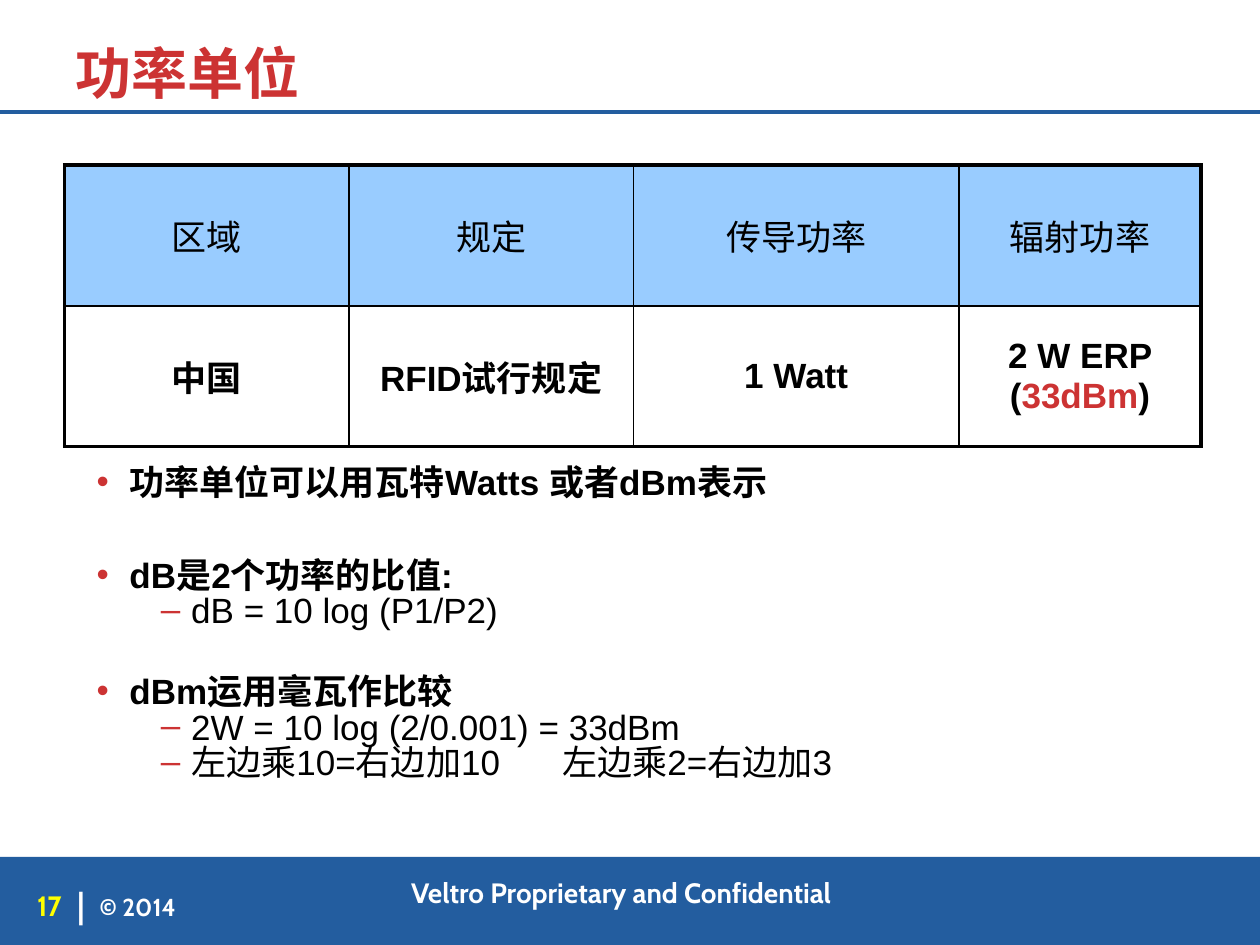
from pptx import Presentation
from pptx.dml.color import RGBColor
from pptx.enum.shapes import MSO_CONNECTOR, MSO_SHAPE
from pptx.enum.text import MSO_ANCHOR, PP_ALIGN
from pptx.oxml import parse_xml
from pptx.oxml.ns import nsdecls
from pptx.util import Pt

BLUE = RGBColor(0x23, 0x5D, 0x9F)
RED = RGBColor(0xCC, 0x33, 0x33)
SKY = RGBColor(0x99, 0xCC, 0xFF)
YELLOW = RGBColor(0xFF, 0xFF, 0x00)
WHITE = RGBColor(0xFF, 0xFF, 0xFF)
BLACK = RGBColor(0, 0, 0)

ROWS = [
    ["区域", "规定", "传导功率", "辐射功率"],
    ["中国", "RFID试行规定", "1 Watt", [("2 W ERP (", BLACK), ("33dBm", RED), (")", BLACK)]],
]
BULLETS = [
    (0, 0, "功率单位可以用瓦特Watts 或者dBm表示"),
    (0, 34, "dB是2个功率的比值:"),
    (1, 1, "dB = 10 log (P1/P2)"),
    (0, 27, "dBm运用毫瓦作比较"),
    (1, 1, "2W = 10 log (2/0.001) = 33dBm"),
    (1, 1, "左边乘10=右边加10\t左边乘2=右边加3"),
]


def add_run(p, text, size=20, font="Arial", color=BLACK, bold=False):
    r = p.add_run()
    r.text = text
    r.font.size = Pt(size)
    r.font.name = font
    r.font.bold = bold
    r.font.color.rgb = color


def add_text(s, text, x, y, w, h, anchor=MSO_ANCHOR.MIDDLE, align=PP_ALIGN.LEFT,
             inset=(0, 0), spacing=None, **fmt):
    tf = s.shapes.add_textbox(Pt(x), Pt(y), Pt(w), Pt(h)).text_frame
    tf.word_wrap = True
    tf.vertical_anchor = anchor
    tf.margin_left = tf.margin_right = Pt(inset[0])
    tf.margin_top = tf.margin_bottom = Pt(inset[1])
    p = tf.paragraphs[0]
    p.alignment = align
    p.line_spacing = spacing
    add_run(p, text, font="Cabin", bold=True, **fmt)


def add_header(s, x, y, w, h):
    line = s.shapes.add_connector(MSO_CONNECTOR.STRAIGHT, Pt(x), Pt(y + h), Pt(x + w), Pt(y + h))
    line.line.color.rgb = BLUE
    line.line.width = Pt(2.25)
    line._element.spPr.append(parse_xml(f"<a:effectLst {nsdecls('a')}/>"))
    add_text(s, "功率单位", x + 36, y, w - 45, h, anchor=MSO_ANCHOR.BOTTOM,
             inset=(7.2, 3.6), spacing=0.85, size=32, color=RED)


def add_footer(s, x, y, w, h):
    bar = s.shapes.add_shape(MSO_SHAPE.RECTANGLE, Pt(x), Pt(y), Pt(w), Pt(h))
    bar.shadow.inherit = False
    bar.fill.solid()
    bar.fill.fore_color.rgb = BLUE
    bar.line.fill.background()
    add_text(s, "Veltro Proprietary and Confidential", x + 204.5, y + 10.8, 301, 19.4,
             anchor=MSO_ANCHOR.BOTTOM, align=PP_ALIGN.CENTER, size=16, color=WHITE)
    add_text(s, "© 2014", x + 56.9, y + 19.4, 120, 18, size=14, color=WHITE)
    add_text(s, "17", x + 12.2 + 9, y + 18.7, 27, 18, size=16, color=YELLOW)
    add_text(s, "|", x + 44, y + 18.7, 15, 16.6, size=20, color=WHITE)


def set_borders(cell, widths):
    tcPr = cell._tc.get_or_add_tcPr()
    for i, (side, width) in enumerate(widths.items()):
        tcPr.insert(i, parse_xml(
            f'<a:{side} {nsdecls("a")} w="{Pt(width)}"><a:solidFill>'
            f'<a:srgbClr val="{BLACK}"/></a:solidFill></a:{side}>'))


def add_power_table(s, x, y, widths, row_height):
    n_rows, n_cols = len(ROWS), len(widths)
    table = s.shapes.add_table(n_rows, n_cols, Pt(x), Pt(y), Pt(sum(widths)),
                               Pt(row_height * n_rows)).table
    table.first_row = table.horz_banding = False
    for col, width in zip(table.columns, widths):
        col.width = Pt(width)
    for i, row in enumerate(ROWS):
        table.rows[i].height = Pt(row_height)
        for j, content in enumerate(row):
            cell = table.cell(i, j)
            cell.vertical_anchor = MSO_ANCHOR.MIDDLE
            cell.fill.solid()
            cell.fill.fore_color.rgb = SKY if i == 0 else WHITE
            p = cell.text_frame.paragraphs[0]
            p.alignment = PP_ALIGN.CENTER
            runs = [(content, BLACK)] if isinstance(content, str) else content
            for text, color in runs:
                add_run(p, text, color=color, bold=i > 0)
            edges = {"lnL": j == 0, "lnR": j == n_cols - 1,
                     "lnT": i == 0, "lnB": i == n_rows - 1}
            set_borders(cell, {side: 2.25 if outer else 1 for side, outer in edges.items()})


def set_bullet(p, char, left, hanging, tab):
    pPr = p._p.get_or_add_pPr()
    pPr.set("marL", str(Pt(left)))
    pPr.set("indent", str(Pt(-hanging)))
    for xml in (f'<a:buClr {nsdecls("a")}><a:srgbClr val="{RED}"/></a:buClr>',
                f'<a:buFont {nsdecls("a")} typeface="Arial"/>',
                f'<a:buChar {nsdecls("a")} char="{char}"/>',
                f'<a:tabLst {nsdecls("a")}><a:tab pos="{Pt(tab)}" algn="l"/></a:tabLst>'):
        pPr.append(parse_xml(xml))


def add_bullets(s, x, y, w, h):
    tf = s.shapes.add_textbox(Pt(x), Pt(y), Pt(w), Pt(h)).text_frame
    tf.word_wrap = True
    for i, (level, before, text) in enumerate(BULLETS):
        p = tf.paragraphs[0] if i == 0 else tf.add_paragraph()
        p.level = level
        set_bullet(p, "•–"[level], (18.7, 54)[level], (18.7, 17.3)[level], 266)
        p.line_spacing = 0.8
        p.space_before = Pt(before)
        add_run(p, text, bold=level == 0)


def main():
    prs = Presentation()
    prs.slide_width, prs.slide_height = Pt(720), Pt(540)
    s = prs.slides.add_slide(prs.slide_layouts[6])
    add_footer(s, 0, 489.6, 720, 50.4)
    add_header(s, 0, 0, 720, 64)
    add_bullets(s, 48.2, 264.2, 638, 226.8)
    add_power_table(s, 36.9, 94.3, [162.5, 162.5, 186.2, 138.2], 80.5)
    prs.save("out.pptx")


if __name__ == "__main__":
    main()
